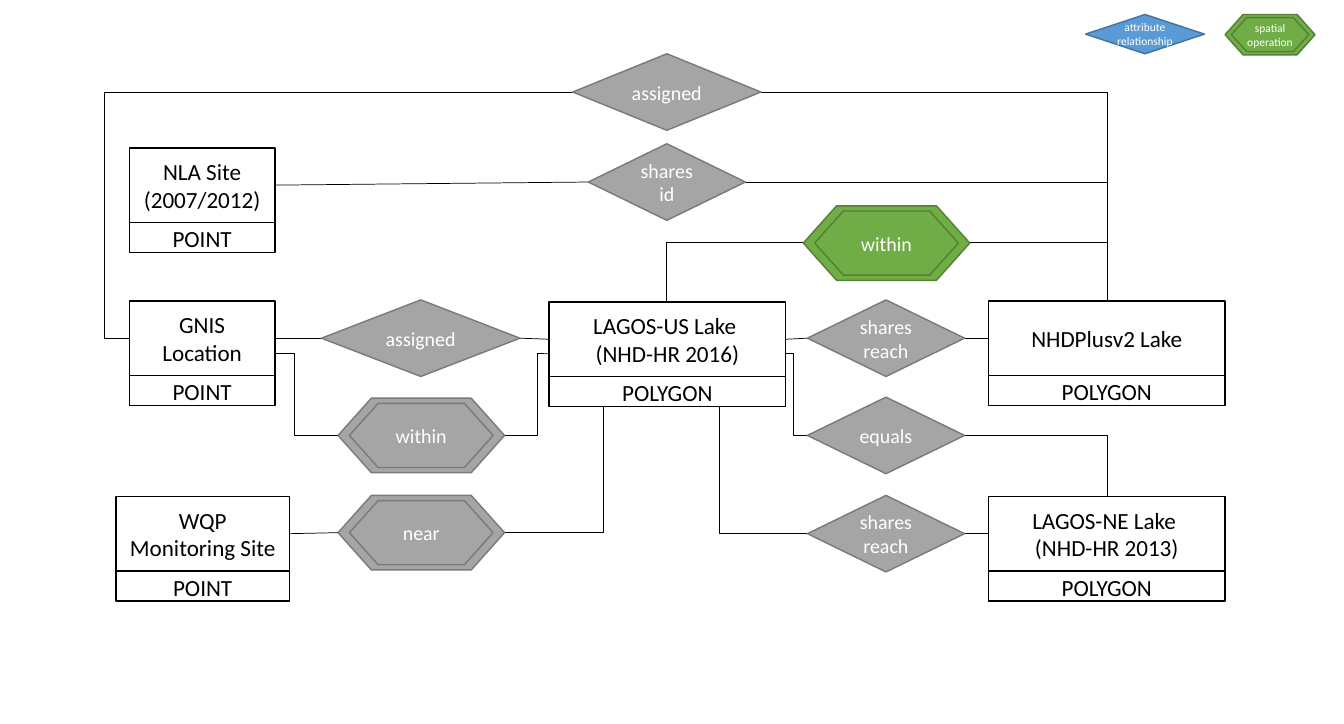
from lxml.etree import SubElement
from pptx import Presentation
from pptx.dml.color import RGBColor
from pptx.enum.shapes import MSO_CONNECTOR as Connector, MSO_SHAPE as Shape
from pptx.enum.text import MSO_ANCHOR as Anchor, PP_ALIGN as Align
from pptx.oxml.ns import qn
from pptx.util import Emu, Pt

PX = 9144  # 100 px to the inch
BLACK = RGBColor(0x00, 0x00, 0x00)
WHITE = RGBColor(0xFF, 0xFF, 0xFF)
GREY, GREY_LINE = RGBColor(0xA5, 0xA5, 0xA5), RGBColor(0x7A, 0x7A, 0x7A)
GREEN, GREEN_LINE = RGBColor(0x70, 0xAD, 0x47), RGBColor(0x53, 0x80, 0x35)
BLUE, BLUE_LINE = RGBColor(0x5B, 0x9B, 0xD5), RGBColor(0x43, 0x73, 0x9E)
GREY_PAIR, GREEN_PAIR, BLUE_PAIR = (GREY, GREY_LINE), (GREEN, GREEN_LINE), (BLUE, BLUE_LINE)

# Content: entities as (name, geometry, left, top, width)
ENTITIES = [
    ("NLA Site (2007/2012)", "POINT", 125, 143, 141),
    ("GNIS Location", "POINT", 125, 291, 141),
    ("WQP Monitoring Site", "POINT", 112, 480, 168),
    ("LAGOS-US Lake \n(NHD-HR 2016)", "POLYGON", 531, 292, 229),
    ("NHDPlusv2 Lake", "POLYGON", 956, 291, 229),
    ("LAGOS-NE Lake \n(NHD-HR 2013)", "POLYGON", 956, 480, 229),
]

# Attribute relationships as (text, left, top, width)
DIAMONDS = [
    ("assigned", 554, 52, 182),
    ("shares id", 569, 139, 152),
    ("assigned", 311, 290, 192),
    ("shares reach", 781, 290, 152),
    ("equals", 781, 384, 152),
    ("shares reach", 781, 479, 152),
]

# Spatial operations as (text, left, top, colours)
HEXAGONS = [
    ("within", 327, 385, GREY_PAIR),
    ("near", 327, 479, GREY_PAIR),
    ("within", 777, 199, GREEN_PAIR),
]

# Links as (start, end)
STRAIGHT_LINKS = [
    ((267, 179), (569, 176)),
    ((267, 327), (311, 327)),
    ((503, 327), (531, 328)),
    ((760, 328), (781, 327)),
    ((933, 327), (956, 327)),
    ((280, 516), (327, 515)),
    ((933, 516), (956, 516)),
    ((526, 342), (574, 341)),
]
# Leave sideways, then turn once
CORNER_LINKS = [
    ((736, 89), (1071, 291)),
    ((721, 176), (1071, 291)),
    ((938, 234), (1071, 291)),
    ((777, 234), (645, 292)),
    ((488, 515), (584, 393)),
    ((781, 516), (696, 393)),
    ((933, 421), (1071, 480)),
]
# Turn twice, with the x of the upright part last
STEP_LINKS = [
    ((125, 327), (554, 89), 101),
    ((243, 342), (327, 421), 285),
    ((488, 421), (526, 342), 520),
    ((781, 421), (754, 342), 767),
]

ENTITY_HEIGHT, NAME_HEIGHT, BODY_OFFSET = 98, 72, 3
DIAMOND_HEIGHT = 74
HEXAGON_SIZE = (161, 72)
INSET_SHARE = 0.07
MARGINS = (11, 5, 11, 5)
NO_MARGINS = (0, 0, 0, 0)

presentation = Presentation()
presentation.slide_width, presentation.slide_height = Emu(1300 * PX), Emu(700 * PX)
slide = presentation.slides.add_slide(presentation.slide_layouts[6])


def write(shape, text, size=13.9, color=WHITE, anchor=Anchor.MIDDLE, margins=MARGINS):
    frame = shape.text_frame
    frame.word_wrap = True
    frame.vertical_anchor = anchor
    (frame.margin_left, frame.margin_top,
     frame.margin_right, frame.margin_bottom) = [Emu(m * PX) for m in margins]
    for index, line in enumerate(text.split("\n")):
        paragraph = frame.add_paragraph() if index else frame.paragraphs[0]
        paragraph.alignment = Align.CENTER
        run = paragraph.add_run()
        run.text = line
        run.font.name, run.font.size, run.font.color.rgb = "Calibri", Pt(size), color


def add_box(parent, kind, box, colours):
    shape = parent.shapes.add_shape(kind, *[Emu(value * PX) for value in box])
    shape.shadow.inherit = False
    shape.fill.solid()
    shape.fill.fore_color.rgb, shape.line.color.rgb = colours
    shape.line.width = Pt(1)
    return shape


def add_link(start, end, preset="line", upright=None):
    kind = Connector.STRAIGHT if preset == "line" else Connector.ELBOW
    link = slide.shapes.add_connector(kind, *[Emu(v * PX) for v in (*start, *end)])
    link.line.color.rgb, link.line.width = BLACK, Pt(0.5)
    properties = link._element.spPr
    SubElement(properties, qn("a:effectLst"))
    geometry = properties.find(qn("a:prstGeom"))
    geometry.set("prst", preset)
    if upright is not None:
        share = round((upright - start[0]) / (end[0] - start[0]) * 100000)
        adjustments = geometry.find(qn("a:avLst"))
        SubElement(adjustments, qn("a:gd"), name="adj1", fmla=f"val {share}")


def add_entity(name, geometry, left, top, width):
    group = slide.shapes.add_group_shape()
    body = add_box(group, Shape.FLOWCHART_PROCESS,
                   (left, top + BODY_OFFSET, width, ENTITY_HEIGHT), (WHITE, BLACK))
    write(body, geometry, size=16.1, color=BLACK, anchor=Anchor.BOTTOM, margins=(11, 5, 11, 0))
    header = add_box(group, Shape.FLOWCHART_PROCESS,
                     (left, top, width, NAME_HEIGHT), (WHITE, BLACK))
    write(header, name, size=16.1, color=BLACK)


def add_diamond(text, box, colours, **text_format):
    write(add_box(slide, Shape.FLOWCHART_DECISION, box, colours), text, **text_format)


def add_hexagon(text, box, colours, **text_format):
    left, top, width, height = box
    inset_x, inset_y = round(width * INSET_SHARE), round(height * INSET_SHARE)
    inner_box = (left + inset_x, top + inset_y, width - 2 * inset_x, height - 2 * inset_y)
    group = slide.shapes.add_group_shape()
    add_box(group, Shape.FLOWCHART_PREPARATION, box, colours)
    inner = add_box(group, Shape.FLOWCHART_PREPARATION, inner_box, colours)
    write(inner, text, **text_format)


# Links lie behind the boxes
for start, end in STRAIGHT_LINKS:
    add_link(start, end)
for start, end in CORNER_LINKS:
    add_link(start, end, "bentConnector2")
for start, end, upright in STEP_LINKS:
    add_link(start, end, "bentConnector3", upright)

# Entities and relationships
for entity in ENTITIES:
    add_entity(*entity)
for text, left, top, width in DIAMONDS:
    add_diamond(text, (left, top, width, DIAMOND_HEIGHT), GREY_PAIR)
for text, left, top, colours in HEXAGONS:
    add_hexagon(text, (left, top, *HEXAGON_SIZE), colours)

# Legend
add_diamond("attribute\nrelationship", (1050, 14, 115, 38), BLUE_PAIR, size=8, margins=NO_MARGINS)
add_hexagon("spatial operation", (1185, 14, 87, 39), GREEN_PAIR, size=8, margins=NO_MARGINS)

presentation.save("out.pptx")
